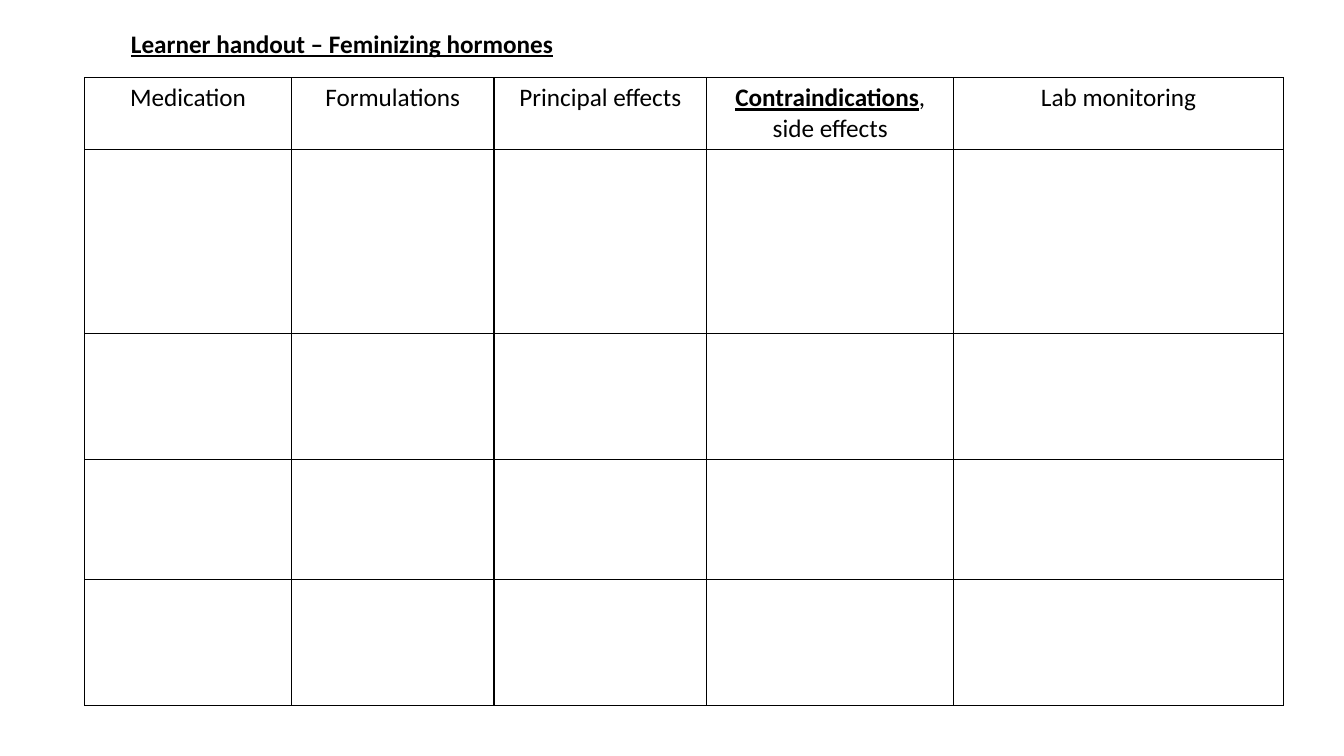
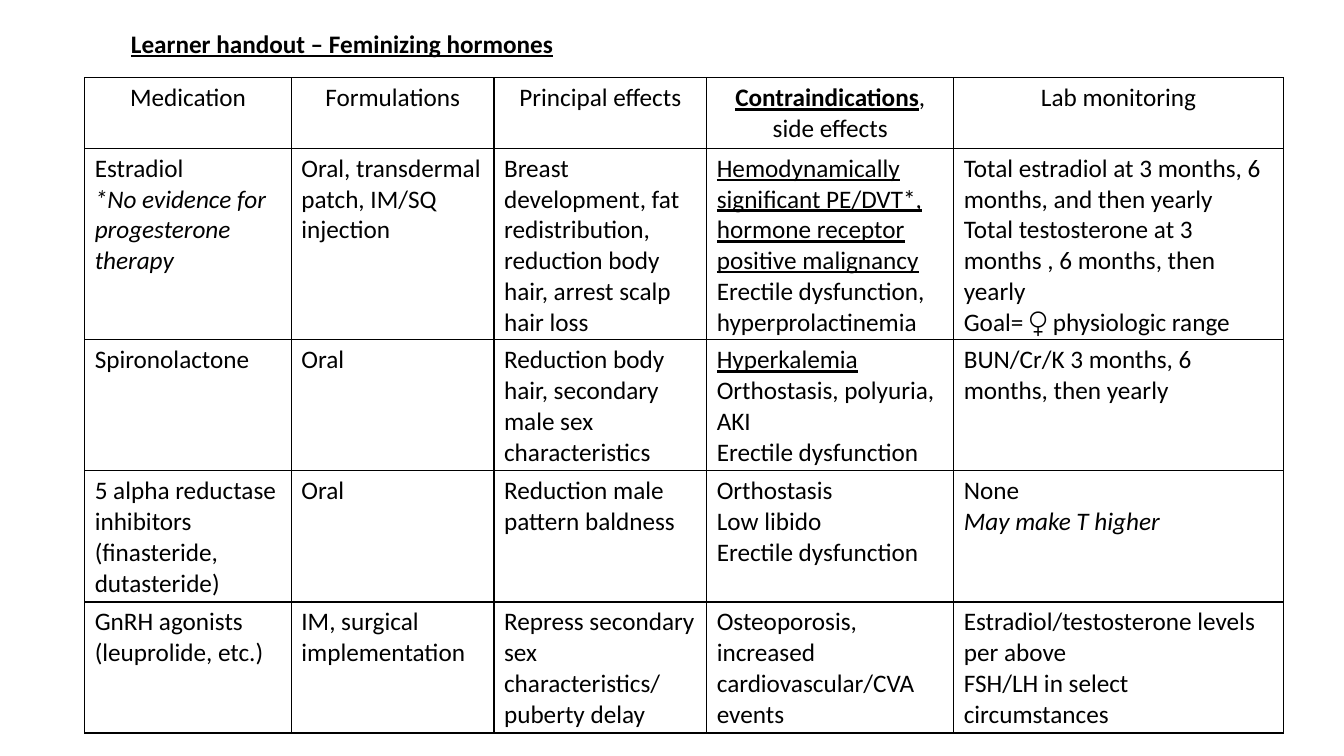
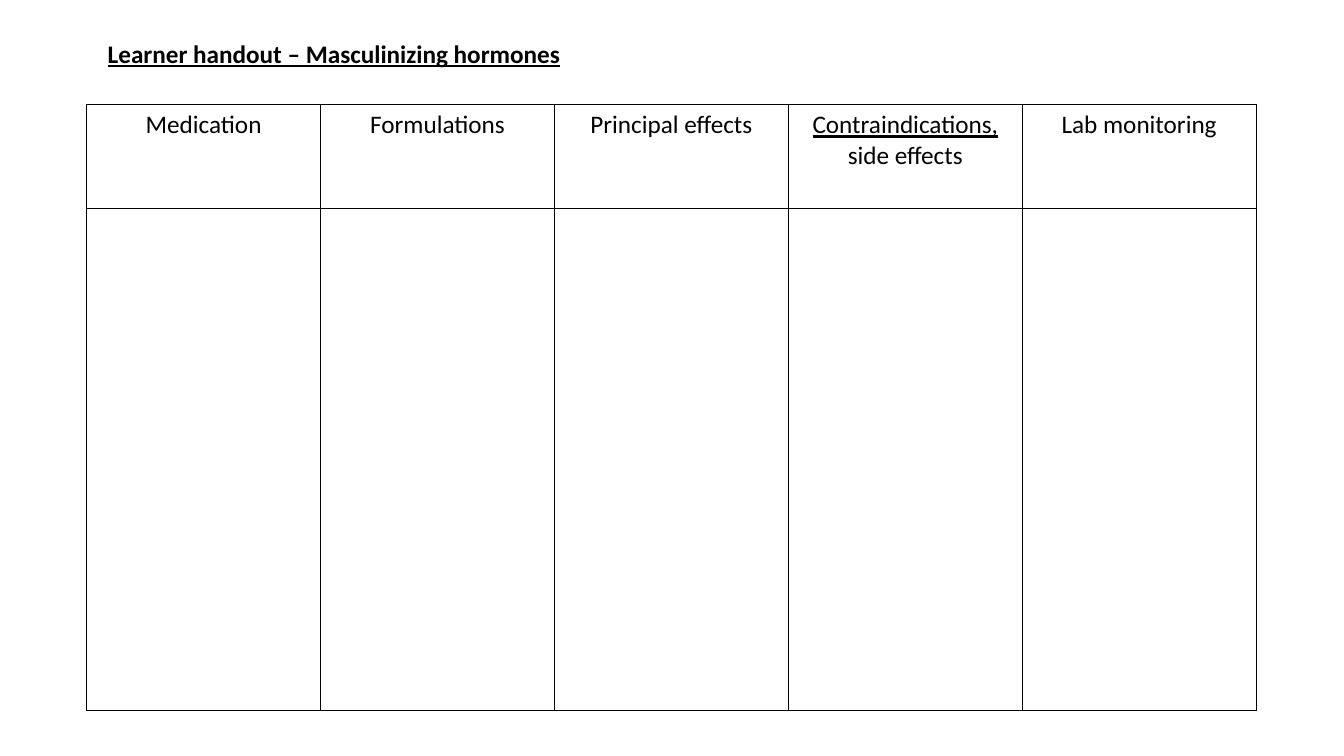
from dataclasses import dataclass
from typing import Optional

from lxml import etree
from pptx import Presentation
from pptx import util as u
from pptx.dml.color import RGBColor
from pptx.enum import text
from pptx.oxml.ns import qn

FONT = "Calibri"
FONT_SIZE = 18
BLACK = "000000"
BORDER_WIDTH = 1
BLANK_LAYOUT = 6


@dataclass(frozen=True)
class Run:
    words: str
    bold: bool = False
    italic: bool = False
    underline: bool = False


@dataclass(frozen=True)
class Title:
    words: str
    left: float
    top: float
    width: float
    height: float
    anchor: text.MSO_ANCHOR = text.MSO_ANCHOR.TOP
    line_spacing: Optional[float] = None


@dataclass(frozen=True)
class Grid:
    left: float
    top: float
    columns: list
    rows: list
    header: list
    body: list


def color(value: str) -> RGBColor:
    return RGBColor.from_string(value)


def underlined(words: str) -> Run:
    return Run(words, underline=True)


def italic(words: str) -> Run:
    return Run(words, italic=True)


def write_text(frame, paragraphs: list, *, align=text.PP_ALIGN.LEFT, line_spacing=None) -> None:
    for index, runs in enumerate(paragraphs):
        paragraph = frame.paragraphs[0] if index == 0 else frame.add_paragraph()
        paragraph.alignment = align
        if line_spacing:
            paragraph.line_spacing = line_spacing
        for item in runs if isinstance(runs, tuple) else (runs,):
            source = Run(item) if isinstance(item, str) else item
            run = paragraph.add_run()
            run.text = source.words
            font = run.font
            font.name, font.size = FONT, u.Pt(FONT_SIZE)
            font.bold, font.italic, font.underline = source.bold, source.italic, source.underline
            font.color.rgb = color(BLACK)


def style_cell(cell) -> None:
    properties = cell._tc.get_or_add_tcPr()
    for side in ("a:lnL", "a:lnR", "a:lnT", "a:lnB"):
        line = etree.SubElement(properties, qn(side), w=str(u.Pt(BORDER_WIDTH)))
        fill = etree.SubElement(line, qn("a:solidFill"))
        etree.SubElement(fill, qn("a:srgbClr"), val=BLACK)
    cell.fill.background()


def add_title(slide, title: Title) -> None:
    shape = slide.shapes.add_textbox(
        *map(u.Inches, (title.left, title.top, title.width, title.height))
    )
    frame = shape.text_frame
    frame.word_wrap = True
    frame.vertical_anchor = title.anchor
    write_text(
        frame,
        [Run(title.words, bold=True, underline=True)],
        line_spacing=title.line_spacing,
    )


def add_grid(slide, grid: Grid) -> None:
    table = slide.shapes.add_table(
        len(grid.rows),
        len(grid.columns),
        *map(u.Inches, (grid.left, grid.top, sum(grid.columns), sum(grid.rows))),
    ).table
    table.first_row = table.horz_banding = False
    for column, width in zip(table.columns, grid.columns):
        column.width = u.Inches(width)
    for row, height in zip(table.rows, grid.rows):
        row.height = u.Inches(height)
    for cell in table.iter_cells():
        style_cell(cell)
    for index, heading in enumerate(grid.header):
        write_text(table.cell(0, index).text_frame, [heading], align=text.PP_ALIGN.CENTER)
    for row_index, row in enumerate(grid.body, start=1):
        for column_index, paragraphs in enumerate(row):
            write_text(table.cell(row_index, column_index).text_frame, paragraphs)


def header(*contraindications) -> list:
    return [
        "Medication",
        "Formulations",
        "Principal effects",
        contraindications,
        "Lab monitoring",
    ]


FEMINIZING_TITLE = Title("Learner handout – Feminizing hormones", 1.2, 0.23, 11.9, 0.4)
MASCULINIZING_TITLE = Title(
    "Learner handout – Masculinizing hormones",
    0.97, 0.13, 11.5, 0.6,
    anchor=text.MSO_ANCHOR.BOTTOM,
    line_spacing=0.9,
)

FEMINIZING_HEADER = header(
    Run("Contraindications", bold=True, underline=True), ", side effects"
)
MASCULINIZING_HEADER = header(underlined("Contraindications, "), "side effects")

FEMINIZING_ANSWERS = [
    [
        ["Estradiol", italic("*No evidence for progesterone therapy")],
        ["Oral, transdermal patch, IM/SQ injection"],
        ["Breast development, fat redistribution, reduction body hair, arrest scalp hair loss"],
        [
            underlined("Hemodynamically significant PE/DVT*, hormone receptor positive malignancy"),
            "Erectile dysfunction, hyperprolactinemia",
        ],
        [
            "Total estradiol at 3 months, 6 months, and then yearly",
            "Total testosterone at 3 months , 6 months, then yearly",
            "Goal= ♀ physiologic range",
        ],
    ],
    [
        ["Spironolactone"],
        ["Oral"],
        ["Reduction body hair, secondary male sex characteristics"],
        [underlined("Hyperkalemia"), "Orthostasis, polyuria, AKI", "Erectile dysfunction"],
        ["BUN/Cr/K 3 months, 6 months, then yearly"],
    ],
    [
        ["5 alpha reductase inhibitors (finasteride, dutasteride)"],
        ["Oral"],
        ["Reduction male pattern baldness"],
        ["Orthostasis", "Low libido", "Erectile dysfunction"],
        ["None", italic("May make T higher")],
    ],
    [
        ["GnRH agonists", "(leuprolide, etc.)"],
        ["IM, surgical implementation"],
        ["Repress secondary sex characteristics/", "puberty delay"],
        ["Osteoporosis, increased cardiovascular/CVA events"],
        ["Estradiol/testosterone levels per above", "FSH/LH in select circumstances"],
    ],
]


def feminizing_grid(third_row: float, body: list) -> Grid:
    return Grid(
        0.84, 0.77,
        columns=[2.05, 2.01, 2.11, 2.45, 3.27],
        rows=[0.67, 1.83, 1.25, third_row, 1.25],
        header=FEMINIZING_HEADER,
        body=body,
    )


HANDOUTS = [
    (FEMINIZING_TITLE, feminizing_grid(1.19, [])),
    (FEMINIZING_TITLE, feminizing_grid(0.96, FEMINIZING_ANSWERS)),
    (
        MASCULINIZING_TITLE,
        Grid(
            0.86, 1.04,
            columns=[2.32] * 5,
            rows=[1.03, 4.98],
            header=MASCULINIZING_HEADER,
            body=[],
        ),
    ),
]


def main() -> None:
    presentation = Presentation()
    presentation.slide_width = u.Inches(13.33)
    presentation.slide_height = u.Inches(7.5)
    for title, grid in HANDOUTS:
        slide = presentation.slides.add_slide(presentation.slide_layouts[BLANK_LAYOUT])
        add_grid(slide, grid)
        add_title(slide, title)
    presentation.save("out.pptx")


if __name__ == "__main__":
    main()
